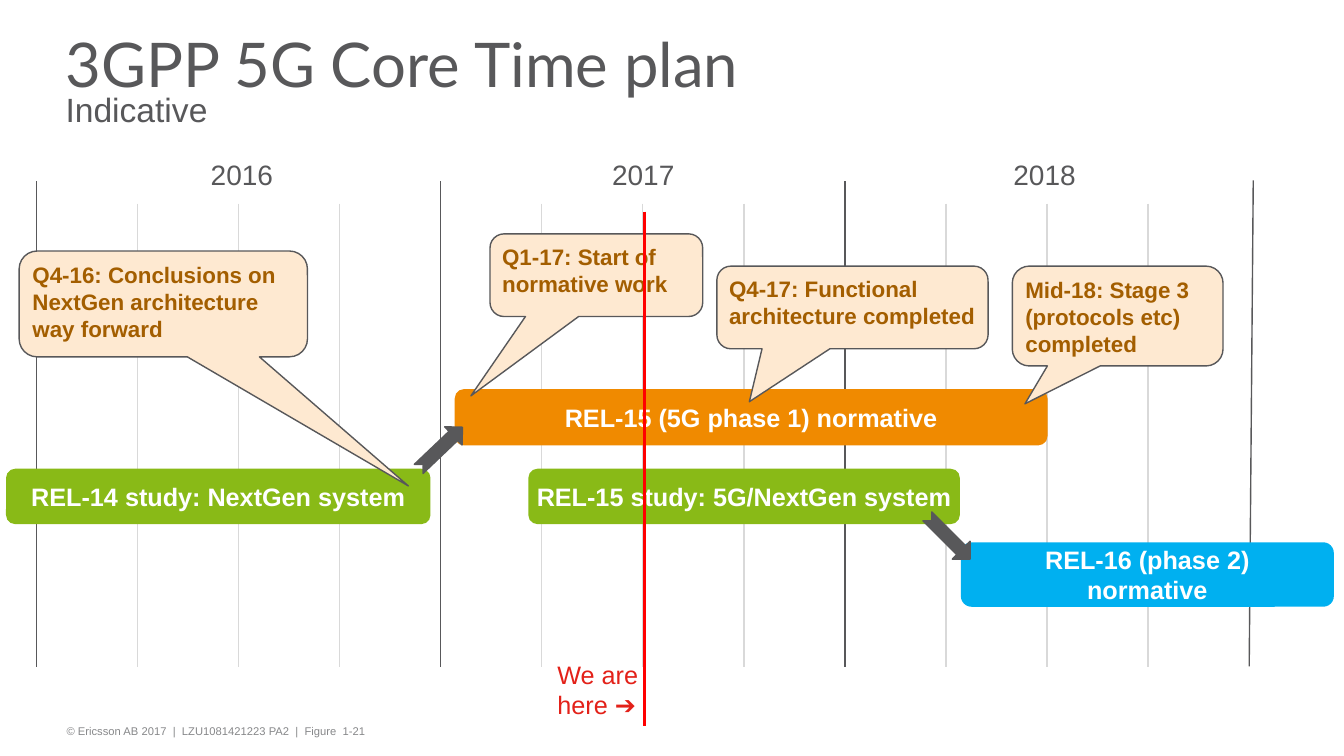
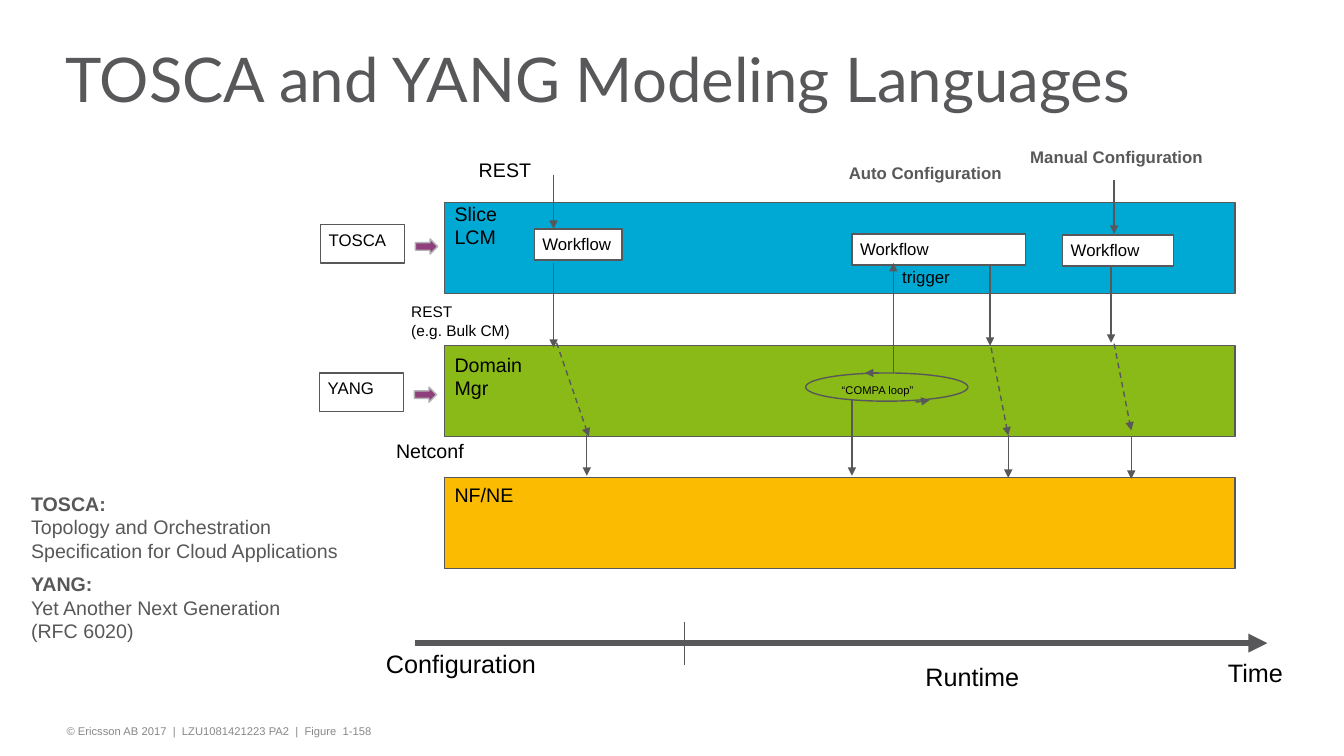
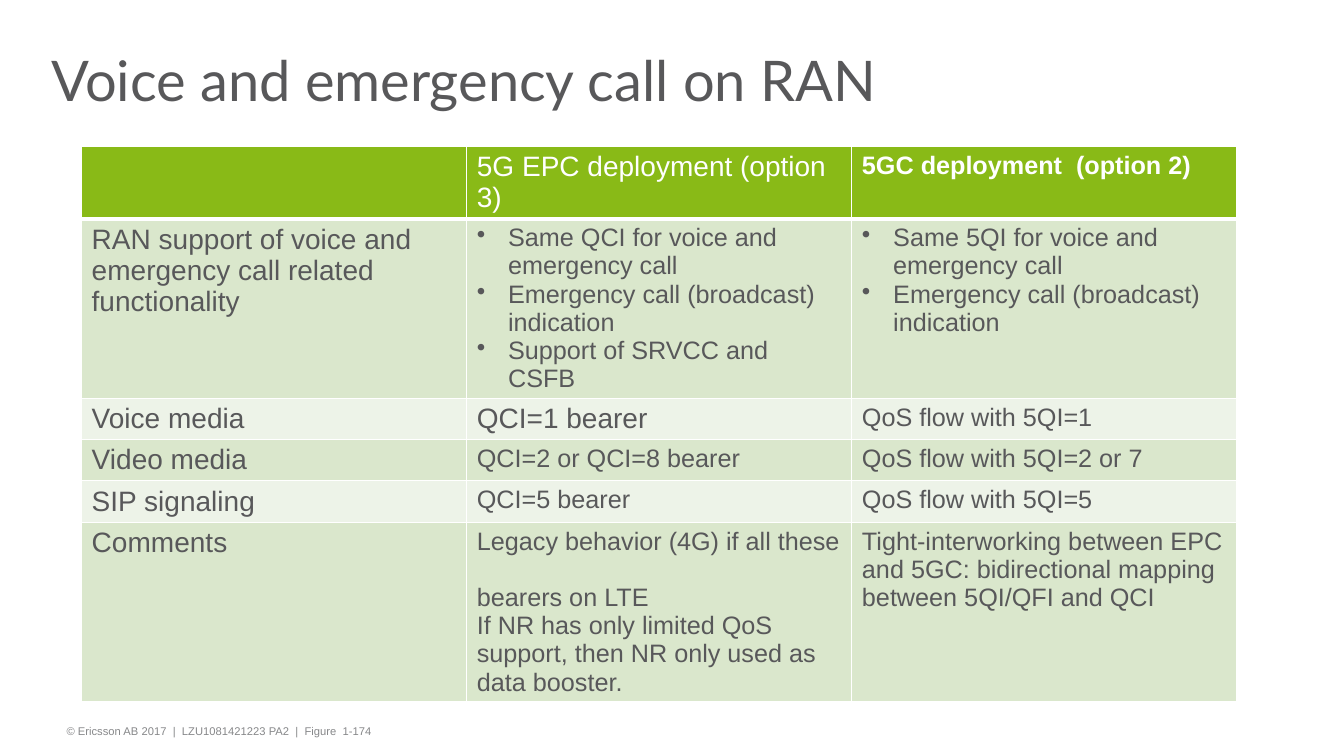
from copy import deepcopy
from dataclasses import dataclass

from lxml.etree import SubElement
from pptx import Presentation
from pptx.dml.color import RGBColor
from pptx.enum.dml import MSO_LINE
from pptx.enum.shapes import MSO_CONNECTOR, MSO_SHAPE
from pptx.enum.text import MSO_ANCHOR, MSO_AUTO_SIZE, PP_ALIGN
from pptx.oxml.ns import qn
from pptx.util import Inches, Pt


@dataclass(frozen=True)
class Theme:
    body_font: str = "Arial"
    title_font: str = "Lato"
    text: str = "58585A"
    black: str = "000000"
    white: str = "FFFFFF"
    footer: str = "87888A"
    green: str = "89BA17"
    orange: str = "F08A00"
    sky: str = "00B0F0"
    blue: str = "00A9D4"
    yellow: str = "FABB00"
    purple: str = "8F3F7B"
    arrow_edge: str = "B1B3B4"
    grid: str = "D9D9D9"
    red: str = "E32119"
    today: str = "FF0000"
    callout: str = "FEE9D1"
    callout_text: str = "A35E00"
    row_dark: str = "DAE7CC"
    row_light: str = "EDF3E8"
    title_size: int = 44
    subtitle_size: int = 24
    heading_size: int = 20
    body_size: int = 18
    callout_size: int = 16
    label_size: int = 14
    small_size: int = 12
    note_size: int = 11
    tiny_size: int = 8


THEME = Theme()
SHAPE_INSETS = (0.08, 0.05)
FLAT_INSETS = (0.08, 0)


def rgb(color):
    return RGBColor.from_string(color)


def add_span(para, text, size, color, bold, font):
    for index, line in enumerate(text.split("\n")):
        if index:
            para.add_line_break()
            para._p[-1].append(deepcopy(span._r.rPr))
        if index and not line:
            return
        span = para.add_run()
        span.text = line
        span.font.size = Pt(size)
        span.font.name = font
        span.font.bold = bold
        span.font.color.rgb = rgb(color)


def write(frame, paragraphs, size=THEME.body_size, color=THEME.text, bold=False,
          font=THEME.body_font, align=PP_ALIGN.LEFT, gap=0, line_spacing=None,
          bullet=False):
    """Fill a frame; a paragraph is a string or a list of (text, overrides)."""
    if isinstance(paragraphs, str):
        paragraphs = [paragraphs]
    base = dict(size=size, color=color, bold=bold, font=font)
    for index, content in enumerate(paragraphs):
        para = frame.add_paragraph() if index else frame.paragraphs[0]
        para.alignment = align
        para.space_before = Pt(gap if index else 0)
        if line_spacing:
            para.line_spacing = line_spacing
        if bullet:
            properties = para._p.get_or_add_pPr()
            properties.set("marL", str(Inches(0.31)))
            properties.set("indent", str(-Inches(0.31)))
            SubElement(properties, qn("a:buChar")).set("char", "•")
        spans = [(content, {})] if isinstance(content, str) else content
        for text, overrides in spans:
            add_span(para, text, **{**base, **overrides})


def set_frame(frame, insets=(0.1, 0.05), anchor=MSO_ANCHOR.TOP, wrap=True, grow=False):
    across, down = map(Inches, insets)
    frame.margin_left = frame.margin_right = across
    frame.margin_top = frame.margin_bottom = down
    frame.vertical_anchor = anchor
    frame.word_wrap = wrap
    frame.auto_size = MSO_AUTO_SIZE.SHAPE_TO_FIT_TEXT if grow else MSO_AUTO_SIZE.NONE


def add_label(page, at, text, wrap=False, **style):
    box = page.shapes.add_textbox(*map(Inches, at))
    set_frame(box.text_frame, wrap=wrap, grow=True)
    write(box.text_frame, text, **style)


def add_block(page, kind, at, fill, edge=THEME.text, adjustments=(), rotation=0):
    block = page.shapes.add_shape(kind, *map(Inches, at))
    block.shadow.inherit = False
    block.rotation = rotation
    for index, value in enumerate(adjustments):
        block.adjustments[index] = value
    block.fill.solid()
    block.fill.fore_color.rgb = rgb(fill)
    if edge:
        block.line.color.rgb = rgb(edge)
        block.line.width = Pt(1)
    else:
        block.line.fill.background()
    return block


def add_line(page, start, end, color=THEME.text, width=1, arrow=False, dashed=False):
    line = page.shapes.add_connector(MSO_CONNECTOR.STRAIGHT, *map(Inches, (*start, *end)))
    line.line.color.rgb = rgb(color)
    line.line.width = Pt(width)
    if dashed:
        line.line.dash_style = MSO_LINE.DASH
    if arrow:
        SubElement(line.line._get_or_add_ln(), qn("a:tailEnd")).set("type", "triangle")
    SubElement(line._element.spPr, qn("a:effectLst"))


def add_release(page, at, fill, text):
    bar = add_block(page, MSO_SHAPE.ROUNDED_RECTANGLE, at, fill, edge=None)
    set_frame(bar.text_frame, FLAT_INSETS, MSO_ANCHOR.MIDDLE, wrap=False)
    write(bar.text_frame, text, color=THEME.white, bold=True, align=PP_ALIGN.CENTER)


def add_callout(page, at, pointer, text):
    callout = add_block(page, MSO_SHAPE.ROUNDED_RECTANGULAR_CALLOUT, at, THEME.callout,
                        adjustments=(*pointer, 0.17))
    set_frame(callout.text_frame, SHAPE_INSETS)
    write(callout.text_frame, text, size=THEME.callout_size, color=THEME.callout_text,
          bold=True)


def add_white_box(page, at, text):
    box = add_block(page, MSO_SHAPE.RECTANGLE, at, THEME.white)
    set_frame(box.text_frame, SHAPE_INSETS, wrap=False)
    write(box.text_frame, text, size=THEME.small_size, color=THEME.black)


def add_page(deck, title, figure, left=0.57, width=10.93, size=THEME.title_size):
    page = deck.slides.add_slide(deck.slide_layouts[5])
    heading = page.shapes.title
    heading.left, heading.top, heading.width, heading.height = map(
        Inches, (left, 0.26, width, 1.19))
    set_frame(heading.text_frame, FLAT_INSETS, MSO_ANCHOR.MIDDLE)
    write(heading.text_frame, title, size=size, font=THEME.title_font, line_spacing=0.75)
    footer = page.shapes.add_textbox(*map(Inches, (0.58, 7.14, 10.79, 0.24)))
    set_frame(footer.text_frame, SHAPE_INSETS)
    write(footer.text_frame, f"© Ericsson AB 2017  |  LZU1081421223 PA2  |  Figure  {figure}",
          size=THEME.tiny_size, color=THEME.footer)
    return page


def add_time_plan(deck):
    subtitle = dict(size=THEME.subtitle_size, font=THEME.body_font)
    page = add_page(deck, [[("3GPP 5G Core Time plan\n", {}), ("Indicative", subtitle)]],
                    "1-21")
    year_width = 4.01
    for quarter in range(12):
        x = 0.36 + quarter * year_width / 4
        starts_year = quarter % 4 == 0
        add_line(page, (x, 1.8 if starts_year else 2.02), (x, 6.62),
                 THEME.text if starts_year else THEME.grid)
    add_line(page, (12.43, 1.79), (12.39, 6.61))
    for index, year in enumerate(("2016", "2017", "2018")):
        add_label(page, (1.21 + index * 3.98, 1.51, 2.38, 0.44), year, wrap=True,
                  size=THEME.heading_size, align=PP_ALIGN.CENTER)
    add_label(page, (5.43, 6.49, 1.65, 0.71), ["We are\nhere ➔"], wrap=True, color=THEME.red)

    for at, fill, text in (
        ((0.06, 4.65, 4.21, 0.55), THEME.green, "REL-14 study: NextGen system"),
        ((4.51, 3.86, 5.88, 0.56), THEME.orange, "REL-15 (5G phase 1) normative"),
        ((5.24, 4.65, 4.28, 0.55), THEME.green, "REL-15 study: 5G/NextGen system"),
        ((9.53, 5.38, 3.7, 0.64), THEME.sky, "REL-16 (phase 2)\nnormative"),
    ):
        add_release(page, at, fill, text)
    for at, pointer, text in (
        ((0.19, 2.49, 2.86, 1.05), (0.85, 1.72),
         "Q4-16: Conclusions on NextGen architecture way forward"),
        ((4.86, 2.32, 2.11, 0.82), (-0.59, 1.46), "Q1-17: Start of normative work"),
        ((7.11, 2.64, 2.69, 0.82), (-0.38, 1.14), "Q4-17: Functional architecture completed"),
        ((10.04, 2.64, 2.09, 0.99), (-0.44, 0.88), "Mid-18: Stage 3 (protocols etc) completed"),
    ):
        add_callout(page, at, pointer, text)
    add_line(page, (6.39, 2.1), (6.39, 7.2), THEME.today, width=2)
    for left, top, rotation in ((4.07, 4.32, 316.4), (9.11, 5.21, 44.9)):
        add_block(page, MSO_SHAPE.NOTCHED_RIGHT_ARROW, (left, top, 0.6, 0.25), THEME.text,
                  rotation=rotation)


def add_modeling_languages(deck):
    page = add_page(deck, "TOSCA and YANG Modeling Languages", "1-158")
    for top, fill in ((2.01, THEME.blue), (3.43, THEME.green), (4.74, THEME.yellow)):
        add_block(page, MSO_SHAPE.RECTANGLE, (4.41, top, 7.84, 0.9), fill)
    add_block(page, MSO_SHAPE.OVAL, (7.99, 3.7, 1.61, 0.28), THEME.green)

    for left, top, text in ((3.18, 2.23, "TOSCA"), (3.17, 3.7, "YANG")):
        add_white_box(page, (left, top, 0.83, 0.38), text)
        add_block(page, MSO_SHAPE.RIGHT_ARROW, (left + 0.94, top + 0.14, 0.22, 0.15),
                  THEME.purple, THEME.arrow_edge)
    for left, top, width in ((5.3, 2.27, 0.87), (8.45, 2.32, 1.72), (10.54, 2.33, 1.1)):
        add_white_box(page, (left, top, width, 0.31), "Workflow")

    for start, end in (
        ((5.49, 1.74), (5.49, 2.27)),
        ((5.49, 2.61), (5.49, 3.45)),
        ((5.82, 4.32), (5.82, 4.72)),
        ((9.82, 2.63), (9.82, 3.43)),
        ((8.72, 3.7), (8.58, 3.7)),
        ((9.08, 3.99), (9.22, 3.97)),
        ((8.45, 3.97), (8.45, 4.72)),
        ((8.86, 3.7), (8.86, 2.61)),
        ((10, 4.32), (10, 4.74)),
        ((11.05, 1.79), (11.05, 2.32)),
        ((11.02, 2.64), (11.02, 3.4)),
        ((11.22, 4.33), (11.22, 4.75)),
    ):
        add_line(page, start, end, arrow=True)
    for start, end in (
        ((5.52, 3.4), (5.84, 4.33)),
        ((9.83, 3.45), (10, 4.32)),
        ((11.05, 3.41), (11.22, 4.27)),
    ):
        add_line(page, start, end, arrow=True, dashed=True)
    add_line(page, (4.12, 6.38), (12.57, 6.38), width=4.5, arrow=True)
    add_line(page, (6.79, 6.17), (6.79, 6.6))

    for at, text, size in (
        ((4.41, 1.95, 0.68, 0.57), "Slice\nLCM", THEME.label_size),
        ((4.41, 3.45, 0.93, 0.57), "Domain\nMgr", THEME.label_size),
        ((4.41, 4.74, 0.79, 0.34), "NF/NE", THEME.label_size),
        ((4.65, 1.52, 0.73, 0.34), "REST", THEME.label_size),
        ((3.83, 4.31, 0.88, 0.34), "Netconf", THEME.label_size),
        ((3.98, 2.95, 1.19, 0.47), "REST\n(e.g. Bulk CM)", THEME.note_size),
        ((8.85, 2.6, 0.68, 0.3), "trigger", THEME.small_size),
        ((8.25, 3.75, 0.93, 0.24), "“COMPA loop”", THEME.tiny_size),
        ((3.73, 6.38, 1.7, 0.4), "Configuration", THEME.body_size),
        ((9.08, 6.51, 1.25, 0.44), "Runtime", THEME.body_size),
        ((12.08, 6.47, 0.82, 0.44), "Time", THEME.body_size),
    ):
        add_label(page, at, text, size=size, color=THEME.black)
    for at, text in (
        ((8.32, 1.57, 1.74, 0.3), "Auto Configuration"),
        ((10.12, 1.41, 1.94, 0.3), "Manual Configuration"),
    ):
        add_label(page, at, text, size=THEME.small_size, bold=True)

    heading = dict(bold=True)
    add_label(page, (0.21, 4.83, 3.26, 1.63), [
        [("TOSCA:\n", heading),
         ("Topology and Orchestration\nSpecification for Cloud Applications", {})],
        [("YANG:\n", heading), ("Yet Another Next Generation\n(RFC 6020)", {})],
    ], size=THEME.label_size, gap=7)


def set_borders(cell, bottom_width):
    properties = cell._tc.get_or_add_tcPr()
    for side, width in (("lnL", 1), ("lnR", 1), ("lnT", 1), ("lnB", bottom_width)):
        border = SubElement(properties, qn(f"a:{side}"))
        border.set("w", str(Pt(width)))
        fill = SubElement(border, qn("a:solidFill"))
        SubElement(fill, qn("a:srgbClr")).set("val", THEME.white)


def add_voice_calls(deck):
    page = add_page(deck, "Voice and emergency call on RAN", "1-174",
                    left=0.43, width=11.98, size=40)
    large = dict(size=THEME.heading_size)
    rows = (
        (0.62, "", "5G EPC deployment (option 3)", "5GC deployment  (option 2)"),
        (1.61, "RAN support of voice and emergency call related functionality",
         ["Same QCI for voice and emergency call", "Emergency call (broadcast) indication",
          "Support of SRVCC and CSFB"],
         ["Same 5QI for voice and emergency call", "Emergency call (broadcast) indication"]),
        (0.4, "Voice media", [[("QCI=1 bearer", large)]], "QoS flow with 5QI=1"),
        (0.4, "Video media", "QCI=2 or QCI=8 bearer", "QoS flow with 5QI=2 or 7"),
        (0.41, "SIP signaling", "QCI=5 bearer", "QoS flow with 5QI=5"),
        (1.42, "Comments",
         ["Legacy behavior (4G) if all these \nbearers on LTE",
          "If NR has only limited QoS support, then NR only used as data booster."],
         "Tight-interworking between EPC and 5GC: bidirectional mapping between "
         "5QI/QFI and QCI"),
    )
    table = page.shapes.add_table(
        len(rows), 3, *map(Inches, (0.81, 1.45, 11.46, 4.86))).table
    table.first_row = table.horz_banding = False
    for column in table.columns:
        column.width = Inches(3.82)
    for row_index, (height, *contents) in enumerate(rows):
        table.rows[row_index].height = Inches(height)
        header = row_index == 0
        band = THEME.row_dark if row_index % 2 else THEME.row_light
        for column_index, content in enumerate(contents):
            cell = table.cell(row_index, column_index)
            set_borders(cell, 3 if header else 1)
            cell.fill.solid()
            cell.fill.fore_color.rgb = rgb(THEME.green if header else band)
            is_large = column_index == 0 or (header and column_index == 1)
            if content:
                write(cell.text_frame, content,
                      size=THEME.heading_size if is_large else THEME.body_size,
                      color=THEME.white if header else THEME.text,
                      bold=header and column_index == 2,
                      bullet=row_index == 1 and column_index > 0)


def main():
    deck = Presentation()
    deck.slide_width, deck.slide_height = Inches(13.33), Inches(7.5)
    add_time_plan(deck)
    add_modeling_languages(deck)
    add_voice_calls(deck)
    deck.save("out.pptx")


if __name__ == "__main__":
    main()
